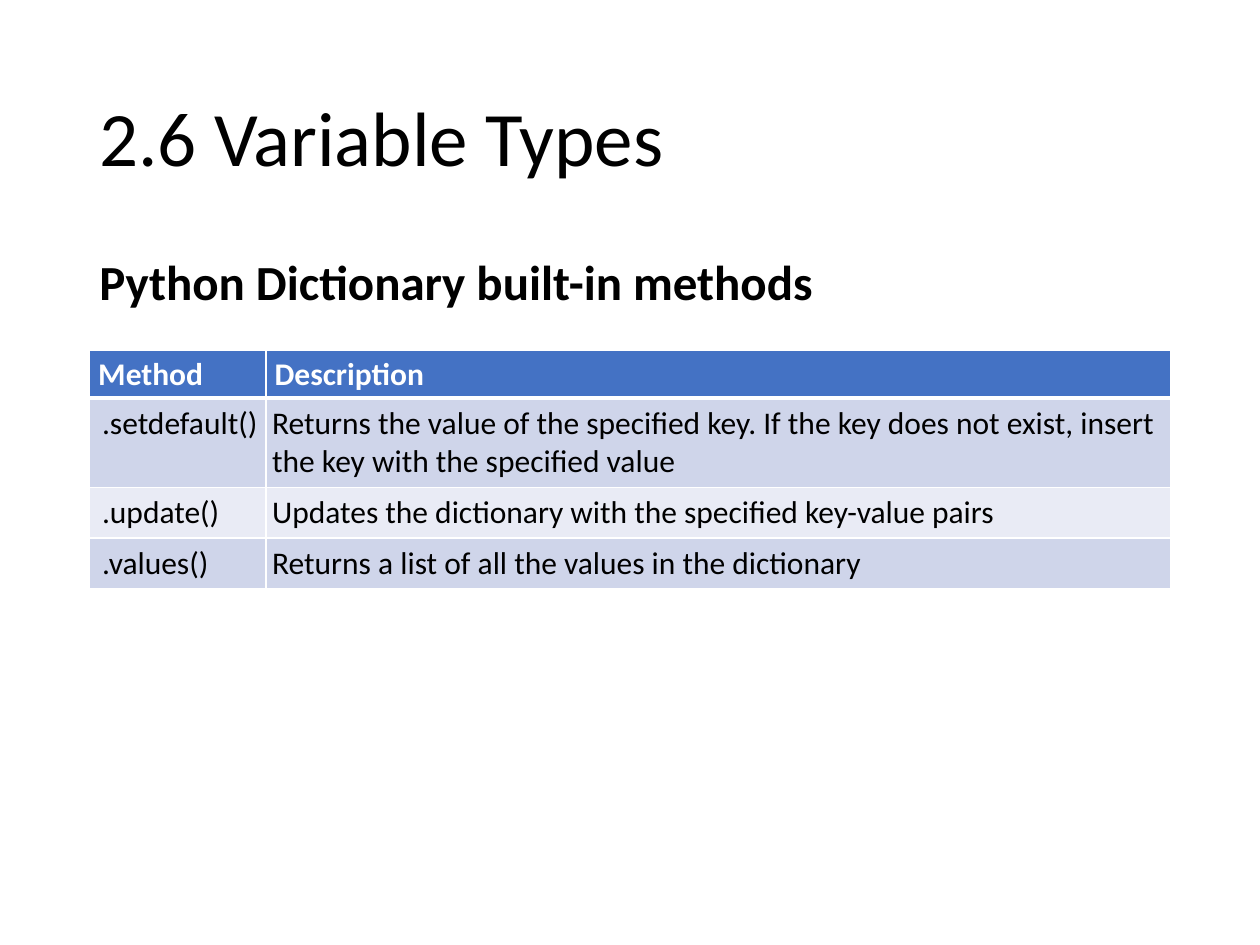
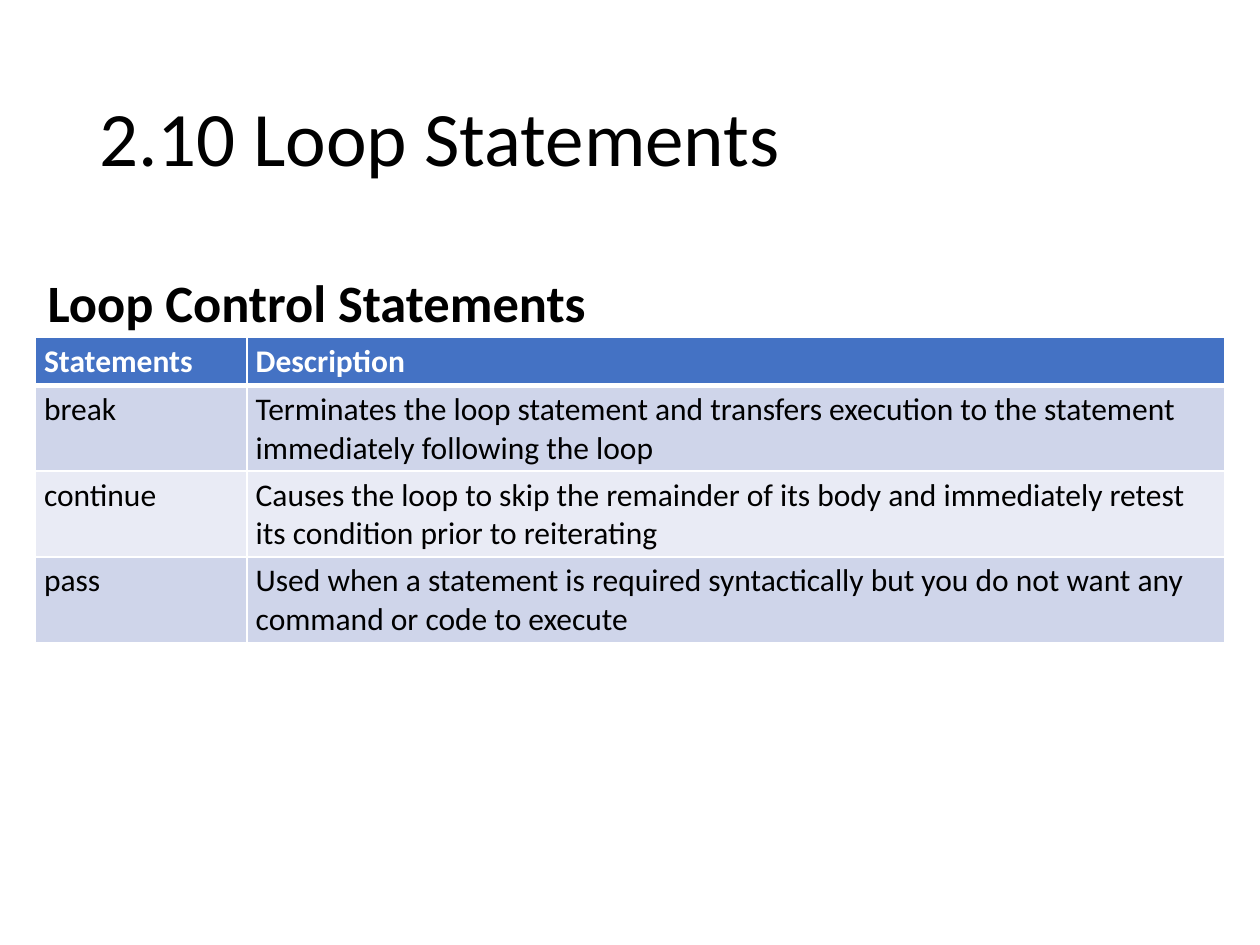
from lxml import etree
from pptx import Presentation
from pptx.dml.color import RGBColor
from pptx.enum.text import MSO_ANCHOR
from pptx.oxml.ns import qn
from pptx.util import Inches, Pt

MIDDLE = MSO_ANCHOR.MIDDLE
TOP = MSO_ANCHOR.TOP
BLACK = RGBColor(0x00, 0x00, 0x00)
WHITE = RGBColor(0xFF, 0xFF, 0xFF)
HEADER = RGBColor(0x44, 0x72, 0xC4)
BANDS = [RGBColor(0xE9, 0xEB, 0xF5), RGBColor(0xCF, 0xD5, 0xEA)]
FONT = "Calibri"
NARROW = (0.07, 0.04, 0.07, 0.04)

SLIDES = [
    {
        "title": "2.6 Variable Types",
        "heading": "Python Dictionary built-in methods",
        "heading_box": (0.69, 2, 8.62, 4.76),
        "heading_size": 28,
        "table_at": (0.71, 2.78),
        "cols": (1.4, 7.18),
        "heights": (0.37, 0.71, 0.4, 0.4),
        "insets": [(0.1, 0.05, 0.05, 0.05), (0.05, 0.05, 0.05, 0.05)],
        "rows": [
            ("Method", "Description"),
            (".setdefault()", "Returns the value of the specified key. If the key "
             "does not exist, insert the key with the specified value"),
            (".update()", "Updates the dictionary with the specified key-value pairs"),
            (".values()", "Returns a list of all the values in the dictionary"),
        ],
    },
    {
        "title": "2.10 Loop Statements",
        "heading": "Loop Control Statements",
        "heading_box": (0.28, 2.15, 8.62, 0.7),
        "heading_size": 30,
        "table_at": (0.28, 2.68),
        "cols": (1.68, 7.76),
        "heights": (0.37, 0.68, 0.68, 0.68),
        "insets": [NARROW, NARROW],
        "rows": [
            ("Statements", "Description"),
            ("break", "Terminates the loop statement and transfers execution to "
             "the statement immediately following the loop"),
            ("continue", "Causes the loop to skip the remainder of its body and "
             "immediately retest its condition prior to reiterating"),
            ("pass", "Used when a statement is required syntactically but you do "
             "not want any command or code to execute"),
        ],
    },
]


def write(tf, text, size=18, color=BLACK, bold=False, anchor=TOP, spacing=None):
    tf.word_wrap = True
    tf.vertical_anchor = anchor
    p = tf.paragraphs[0]
    p.line_spacing = spacing
    r = p.add_run()
    r.text = text
    r.font.name = FONT
    r.font.size = Pt(size)
    r.font.bold = bold
    r.font.color.rgb = color


def add_border(cell, side, width):
    ln = etree.SubElement(cell._tc.get_or_add_tcPr(), qn("a:ln" + side), w=str(Pt(width)))
    fill = etree.SubElement(ln, qn("a:solidFill"))
    etree.SubElement(fill, qn("a:srgbClr"), val=str(WHITE))


prs = Presentation()
prs.slide_width = Inches(10)
prs.slide_height = Inches(7.5)

for data in SLIDES:
    s = prs.slides.add_slide(prs.slide_layouts[6])
    title = s.shapes.add_textbox(Inches(0.69), Inches(0.4), Inches(8.62), Inches(1.45))
    write(title.text_frame, data["title"], size=44, anchor=MIDDLE, spacing=0.9)

    rows, cols, heights = data["rows"], data["cols"], data["heights"]
    left, top = data["table_at"]
    table = s.shapes.add_table(len(rows), len(cols), Inches(left), Inches(top),
                               Inches(sum(cols)), Inches(sum(heights))).table
    table.horz_banding = False
    for column, width in zip(table.columns, cols):
        column.width = Inches(width)
    for i, row in enumerate(rows):
        table.rows[i].height = Inches(heights[i])
        is_header = i == 0
        for j, text in enumerate(row):
            cell = table.cell(i, j)
            insets = NARROW if is_header else data["insets"][j]
            (cell.margin_left, cell.margin_top,
             cell.margin_right, cell.margin_bottom) = map(Inches, insets)
            for side in "LRTB":
                under_header = (i, side) in ((0, "B"), (1, "T"))
                add_border(cell, side, 3 if under_header else 1)
            cell.fill.solid()
            cell.fill.fore_color.rgb = HEADER if is_header else BANDS[i % 2]
            write(cell.text_frame, text, bold=is_header,
                  color=WHITE if is_header else BLACK)

    heading = s.shapes.add_textbox(*map(Inches, data["heading_box"]))
    write(heading.text_frame, data["heading"], size=data["heading_size"],
          bold=True, spacing=0.9)

prs.save("out.pptx")
